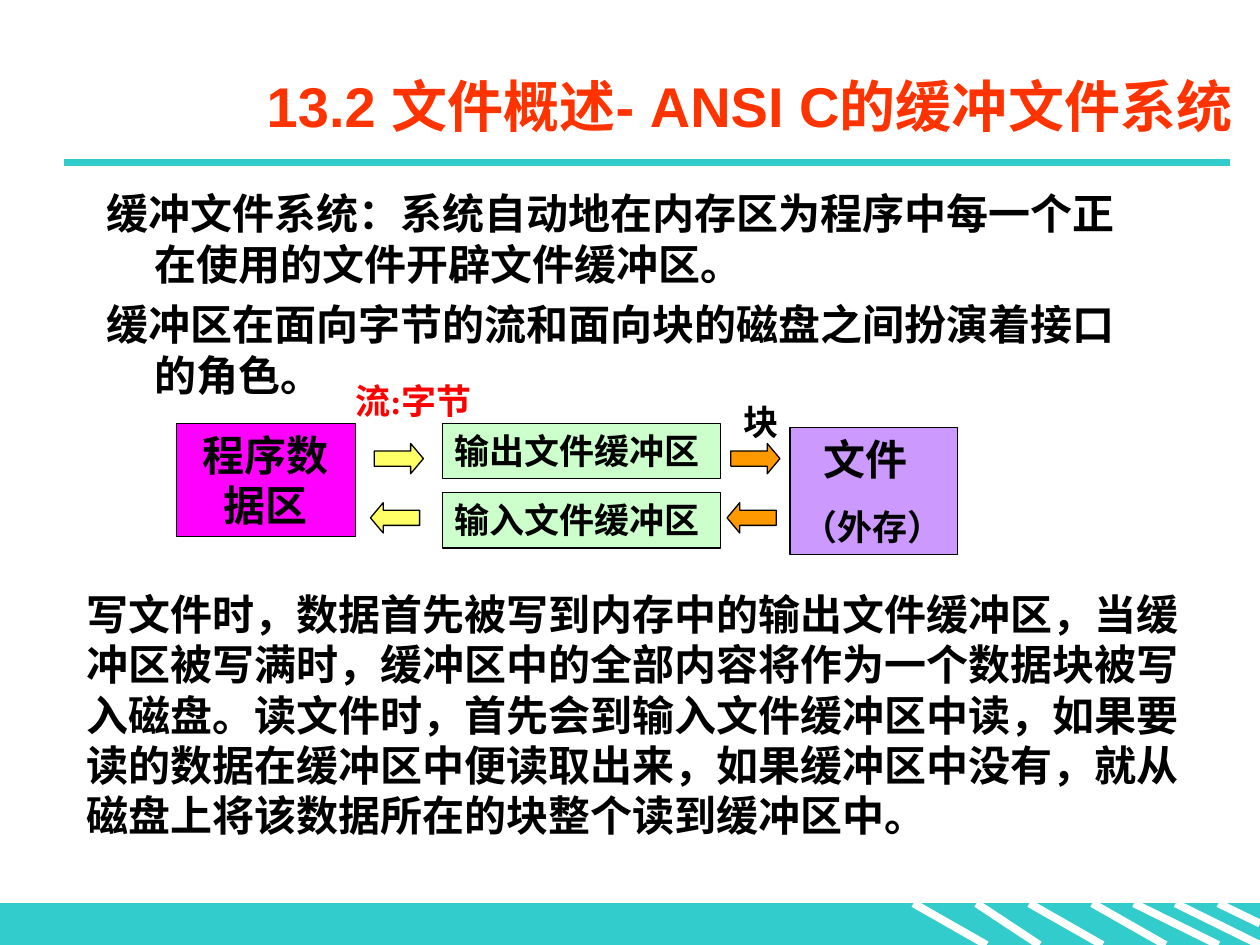
from pptx import Presentation
from pptx.dml.color import RGBColor
from pptx.enum.shapes import MSO_CONNECTOR, MSO_SHAPE
from pptx.enum.text import MSO_ANCHOR, PP_ALIGN
from pptx.oxml.ns import qn
from pptx.util import Inches, Pt
from lxml import etree

RECT = MSO_SHAPE.RECTANGLE
RIGHT = MSO_SHAPE.RIGHT_ARROW
LEFT = MSO_SHAPE.LEFT_ARROW
LINE = MSO_CONNECTOR.STRAIGHT
MIDDLE = MSO_ANCHOR.MIDDLE
START, CENTER, END = PP_ALIGN.LEFT, PP_ALIGN.CENTER, PP_ALIGN.RIGHT
TEAL, BLACK, WHITE = "33CCCC", "000000", "FFFFFF"
GREEN, YELLOW, ORANGE = "CCFFCC", "FFFF66", "FF9900"
SERIF, SANS = "Times New Roman", "Arial"


def color(code):
    """Return the colour for a hex string."""
    return RGBColor.from_string(code)


def add_stroke(slide, x1, y1, x2, y2, code):
    """Draw a thick straight line without a shadow."""
    line = slide.shapes.add_connector(
        LINE, Inches(x1), Inches(y1), Inches(x2), Inches(y2))
    line.line.color.rgb = color(code)
    line.line.width = Pt(4.5)
    etree.SubElement(line._element.spPr, qn("a:effectLst"))


def add_block(slide, kind, box, fill, edge=BLACK):
    """Draw a filled, outlined preset shape."""
    shape = slide.shapes.add_shape(kind, *map(Inches, box))
    shape.shadow.inherit = False
    shape.fill.solid()
    shape.fill.fore_color.rgb = color(fill)
    shape.line.color.rgb = color(edge)
    shape.line.width = Pt(0.75)
    return shape


def add_para(para, text, size, code=BLACK, font=SERIF, align=START,
             before=0, left=0, hang=0):
    """Write one bold paragraph with its spacing and indent."""
    para.text = text
    para.alignment = align
    para.space_before = Pt(before)
    props = para._p.get_or_add_pPr()
    props.set("marL", str(Inches(left)))
    props.set("indent", str(Inches(-hang)))
    for run in para.runs:
        run.font.size = Pt(size)
        run.font.bold = True
        run.font.name = font
        run.font.color.rgb = color(code)


def add_label(slide, box, text, size, **style):
    """Add a wrapping text box, one paragraph per line of text."""
    frame = slide.shapes.add_textbox(*map(Inches, box)).text_frame
    frame.word_wrap = True
    frame.text = text
    for para in frame.paragraphs:
        add_para(para, para.text, size, **style)
    return frame


def add_node(slide, box, fill, text, size, align=START):
    """Draw a rectangle with text that starts at its top."""
    frame = add_block(slide, RECT, box, fill).text_frame
    frame.word_wrap = True
    frame.vertical_anchor = MSO_ANCHOR.TOP
    add_para(frame.paragraphs[0], text, size, align=align,
             before=size * 0.625)
    return frame


def add_frame(slide):
    """Draw the striped footer and the rule below the title."""
    add_block(slide, RECT, (0, 7.17, 10, 0.33), TEAL, TEAL)
    for x1, x2, y2 in ((7.25, 7.83, 7.5), (7.75, 8.25, 7.5),
                       (8.17, 8.75, 7.5), (8.67, 9.25, 7.5),
                       (9, 9.67, 7.5), (9.33, 10, 7.5), (9.67, 10, 7.33)):
        add_stroke(slide, x1, 7.17, x2, y2, WHITE)
    add_stroke(slide, 0.51, 1.29, 9.76, 1.29, TEAL)


def add_flow(slide):
    """Draw the data path between program, buffers and file."""
    add_node(slide, (1.4, 3.36, 1.42, 0.9), "FF00FF", "程序数据区", 24, CENTER)
    for top, text in ((3.36, "输出文件缓冲区"), (3.91, "输入文件缓冲区")):
        add_node(slide, (3.51, top, 2.21, 0.44), GREEN, text, 20)
    disk = add_node(slide, (6.27, 3.39, 1.33, 1.01), "CC99FF", "文件", 24)
    disk.paragraphs[0]._p.pPr.set("marL", str(Inches(0.17)))
    add_para(disk.add_paragraph(), "（外存）", 20, before=12.5)
    for left, fill in ((2.97, YELLOW), (5.8, ORANGE)):
        for kind, x, y in ((RIGHT, left, 3.52), (LEFT, left - 0.03, 3.99)):
            arrow = add_block(slide, kind, (x, y, 0.39, 0.24), fill)
            arrow.adjustments[1] = 0.42
    add_label(slide, (5.8, 3.13, 1.26, 0.44), "块", 20,
              before=12.5, left=0.38, hang=0.38)
    add_label(slide, (2.72, 2.96, 1.46, 0.44), "流:字节", 20,
              code="FF0000", before=12.5)


def main():
    """Build the slide and save it."""
    deck = Presentation()
    deck.slide_width, deck.slide_height = Inches(10), Inches(7.5)
    slide = deck.slides.add_slide(deck.slide_layouts[6])
    add_frame(slide)
    title = add_label(slide, (1.38, 0.44, 8.5, 0.79),
                      "13.2 文件概述- ANSI C的缓冲文件系统", 32,
                      code="FF3300", font=SANS, align=END)
    title.vertical_anchor = MIDDLE
    add_label(slide, (0.75, 1.44, 8.5, 5.04),
              "缓冲文件系统：系统自动地在内存区为程序中每一个正在使用的文件开辟文件缓冲区。\n"
              "缓冲区在面向字节的流和面向块的磁盘之间扮演着接口的角色。",
              24, font=SANS, before=6, left=0.38, hang=0.38)
    add_flow(slide)
    add_label(slide, (0.59, 4.62, 9.06, 2.5),
              "写文件时，数据首先被写到内存中的输出文件缓冲区，当缓冲区被写满时，"
              "缓冲区中的全部内容将作为一个数据块被写入磁盘。读文件时，"
              "首先会到输入文件缓冲区中读，如果要读的数据在缓冲区中便读取出来，"
              "如果缓冲区中没有，就从磁盘上将该数据所在的块整个读到缓冲区中。", 24)
    deck.save("out.pptx")


if __name__ == "__main__":
    main()
